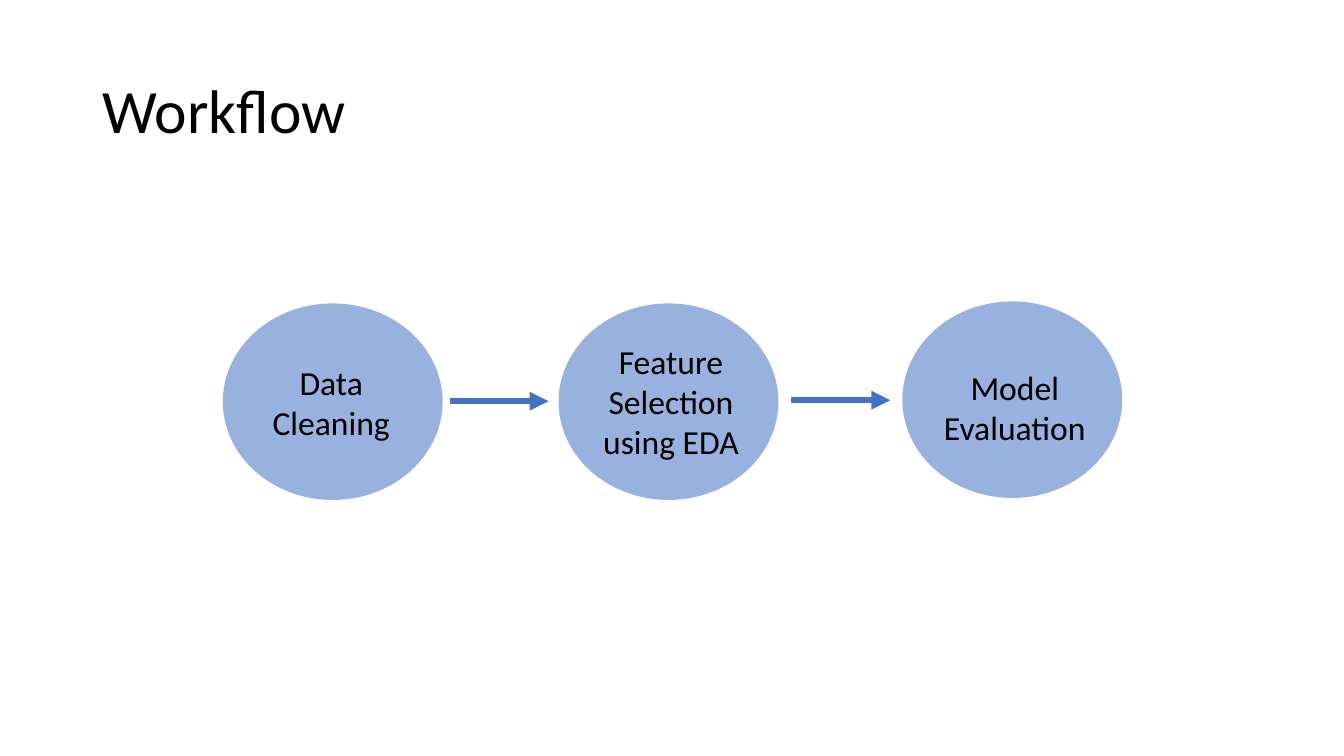
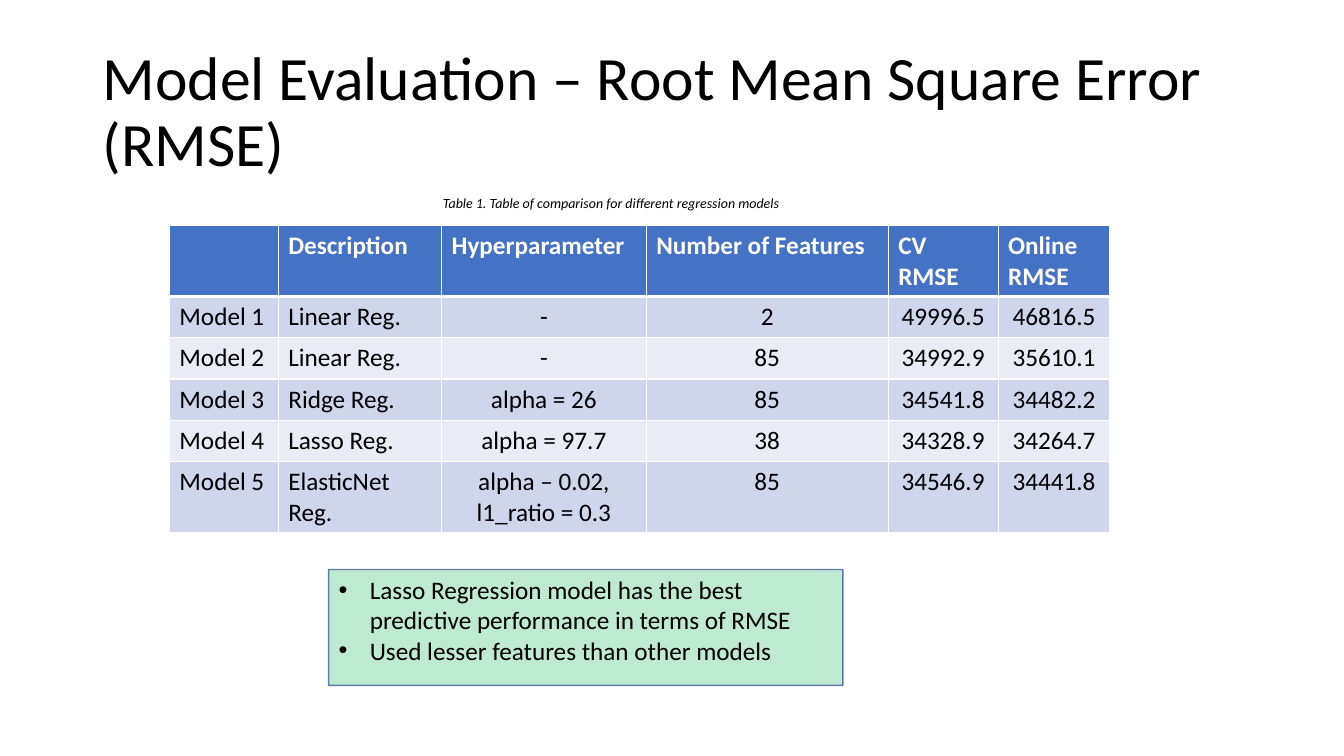
import dataclasses

import pptx
import pptx.dml.color
import pptx.enum.shapes
import pptx.enum.text
import pptx.oxml
import pptx.oxml.ns
import pptx.util

Inches = pptx.util.Inches
Pt = pptx.util.Pt
qn = pptx.oxml.ns.qn
ALIGN = pptx.enum.text.PP_ALIGN
ANCHOR = pptx.enum.text.MSO_ANCHOR
SHAPE = pptx.enum.shapes.MSO_SHAPE


@dataclasses.dataclass(frozen=True)
class Theme:
    font: str = "Calibri"
    ink: str = "000000"
    paper: str = "FFFFFF"
    accent: str = "4472C4"
    bands: tuple = ("CFD5EA", "E9EBF5")
    note_fill: str = "00B050"
    note_line: str = "325491"
    title_size: int = 44
    step_size: int = 24
    body_size: int = 18
    caption_size: int = 10


def rgb(value):
    return pptx.dml.color.RGBColor.from_string(value)


def add_xml(parent, tag, **attributes):
    child = parent.makeelement(qn(tag), attributes)
    parent.append(child)
    return child


def set_opacity(solid_fill, percent):
    add_xml(solid_fill.find(qn("a:srgbClr")), "a:alpha", val=str(percent * 1000))


class DeckBuilder:
    """Holds the theme and the current page."""

    def __init__(self, theme):
        self.theme = theme
        self.deck = pptx.Presentation()
        self.deck.slide_width = Inches(13.33)
        self.deck.slide_height = Inches(7.5)
        self.page = None

    def add_page(self, title):
        self.page = self.deck.slides.add_slide(self.deck.slide_layouts[6])
        box = self.add_text(title, 0.92, 0.4, 11.5, 1.45,
                            self.theme.title_size, align=ALIGN.LEFT)
        box.text_frame.vertical_anchor = ANCHOR.MIDDLE
        box.text_frame.paragraphs[0].line_spacing = 0.9

    def style_text(self, text_frame, size, color=None, align=ALIGN.LEFT,
                   bold=False, italic=False):
        for para in text_frame.paragraphs:
            para.alignment = align
            for span in para.runs:
                span.font.name = self.theme.font
                span.font.size = Pt(size)
                span.font.bold = bold
                span.font.italic = italic
                span.font.color.rgb = rgb(color or self.theme.ink)

    def add_text(self, text, left, top, width, height, size,
                 align=ALIGN.CENTER, italic=False):
        box = self.page.shapes.add_textbox(
            Inches(left), Inches(top), Inches(width), Inches(height))
        box.text_frame.word_wrap = True
        box.text_frame.text = text
        self.style_text(box.text_frame, size, align=align, italic=italic)
        return box

    def add_tinted_shape(self, kind, left, top, width, height, color, opacity):
        shape = self.page.shapes.add_shape(
            kind, Inches(left), Inches(top), Inches(width), Inches(height))
        shape.shadow.inherit = False
        shape.fill.solid()
        shape.fill.fore_color.rgb = rgb(color)
        set_opacity(shape.element.spPr.find(qn("a:solidFill")), opacity)
        shape.line.fill.background()
        return shape

    def add_arrow(self, left, y, length):
        arrow = self.page.shapes.add_connector(
            pptx.enum.shapes.MSO_CONNECTOR.STRAIGHT,
            Inches(left), Inches(y), Inches(left + length), Inches(y))
        arrow.line.color.rgb = rgb(self.theme.accent)
        arrow.line.width = Pt(4.5)
        properties = arrow.element.spPr
        add_xml(properties.find(qn("a:ln")), "a:tailEnd", type="triangle")
        add_xml(properties, "a:effectLst")

    def add_cell_borders(self, cell, bottom_width):
        properties = cell._tc.get_or_add_tcPr()
        for side, width in (("L", 1), ("R", 1), ("T", 1), ("B", bottom_width)):
            border = add_xml(properties, f"a:ln{side}", w=str(Pt(width)))
            fill = add_xml(border, "a:solidFill")
            add_xml(fill, "a:srgbClr", val=self.theme.paper)

    def add_table(self, rows, left, top, widths, heights, left_columns):
        table = self.page.shapes.add_table(
            len(rows), len(widths), Inches(left), Inches(top),
            Inches(sum(widths)), Inches(sum(heights))).table
        for column, width in zip(table.columns, widths):
            column.width = Inches(width)
        for r, (values, height) in enumerate(zip(rows, heights)):
            table.rows[r].height = Inches(height)
            header = r == 0
            fill = self.theme.accent if header else self.theme.bands[(r - 1) % 2]
            for c, value in enumerate(values):
                cell = table.cell(r, c)
                cell.text_frame.text = value
                self.style_text(
                    cell.text_frame, self.theme.body_size,
                    color=self.theme.paper if header else self.theme.ink,
                    align=ALIGN.LEFT if header or c < left_columns else ALIGN.CENTER,
                    bold=header)
                # The rule under the header and above the first row is thick
                self.add_cell_borders(cell, 3 if header else 1)
                if r == 1:
                    top_border = cell._tc.tcPr.find(qn("a:lnT"))
                    top_border.set("w", str(Pt(3)))
                cell.fill.solid()
                cell.fill.fore_color.rgb = rgb(fill)

    def add_bullet_note(self, lines, left, top, width, height):
        note = self.add_tinted_shape(SHAPE.RECTANGLE, left, top, width, height,
                                     self.theme.note_fill, 26)
        note.line.color.rgb = rgb(self.theme.note_line)
        note.line.width = Pt(1)
        set_opacity(note.line._ln.find(qn("a:solidFill")), 74)
        note.text_frame.word_wrap = True
        note.text_frame.vertical_anchor = ANCHOR.TOP
        note.text_frame.text = "\n".join(lines)
        self.style_text(note.text_frame, self.theme.body_size)
        for para in note.text_frame.paragraphs:
            properties = para._p.get_or_add_pPr()
            properties.set("marL", str(Inches(0.31)))
            properties.set("indent", str(-Inches(0.31)))
            add_xml(properties, "a:buFont", typeface="Arial")
            add_xml(properties, "a:buChar", char="•")


def add_workflow(builder):
    builder.add_page("Workflow")
    # Steps: label, ellipse left and top, label left, top and height
    steps = [
        ("Data Cleaning", 2.21, 3.01, 2.32, 3.54, 0.91),
        ("Feature Selection using EDA", 5.54, 3.01, 5.69, 3.33, 1.31),
        ("Model Evaluation", 8.95, 2.99, 9.1, 3.59, 0.91),
    ]
    for label, left, top, label_left, label_top, label_height in steps:
        builder.add_tinted_shape(SHAPE.OVAL, left, top, 2.18, 1.95,
                                 builder.theme.accent, 55)
        builder.add_text(label, label_left, label_top, 1.93, label_height,
                         builder.theme.step_size)
    # Arrows between the steps
    for left, y in ((4.46, 3.98), (7.85, 3.97)):
        builder.add_arrow(left, y, 0.98)


def add_evaluation(builder):
    builder.add_page("Model Evaluation – Root Mean Square Error (RMSE)")
    # Comparison table and its caption
    rows = [
        ("", "Description", "Hyperparameter", "Number of Features",
         "CV RMSE", "Online RMSE"),
        ("Model 1", "Linear Reg.", "-", "2", "49996.5", "46816.5"),
        ("Model 2", "Linear Reg.", "-", "85", "34992.9", "35610.1"),
        ("Model 3", "Ridge Reg.", "alpha = 26", "85", "34541.8", "34482.2"),
        ("Model 4", "Lasso Reg.", "alpha = 97.7", "38", "34328.9", "34264.7"),
        ("Model 5", "ElasticNet Reg.", "alpha – 0.02, l1_ratio = 0.3", "85",
         "34546.9", "34441.8"),
    ]
    builder.add_table(rows, 1.68, 2.24,
                      widths=(1.08, 1.62, 2.03, 2.4, 1.09, 1.11),
                      heights=(0.7, 0.41, 0.41, 0.41, 0.41, 0.7),
                      left_columns=2)
    builder.add_text("Table 1. Table of comparison for different regression models",
                     3.76, 1.88, 4.6, 0.44, builder.theme.caption_size, italic=True)
    # Conclusion
    builder.add_bullet_note(
        ["Lasso Regression model has the best predictive performance in terms of RMSE",
         "Used lesser features than other models"],
        3.26, 5.65, 5.1, 1.15)


def main():
    builder = DeckBuilder(Theme())
    add_workflow(builder)
    add_evaluation(builder)
    builder.deck.save("out.pptx")


if __name__ == "__main__":
    main()
